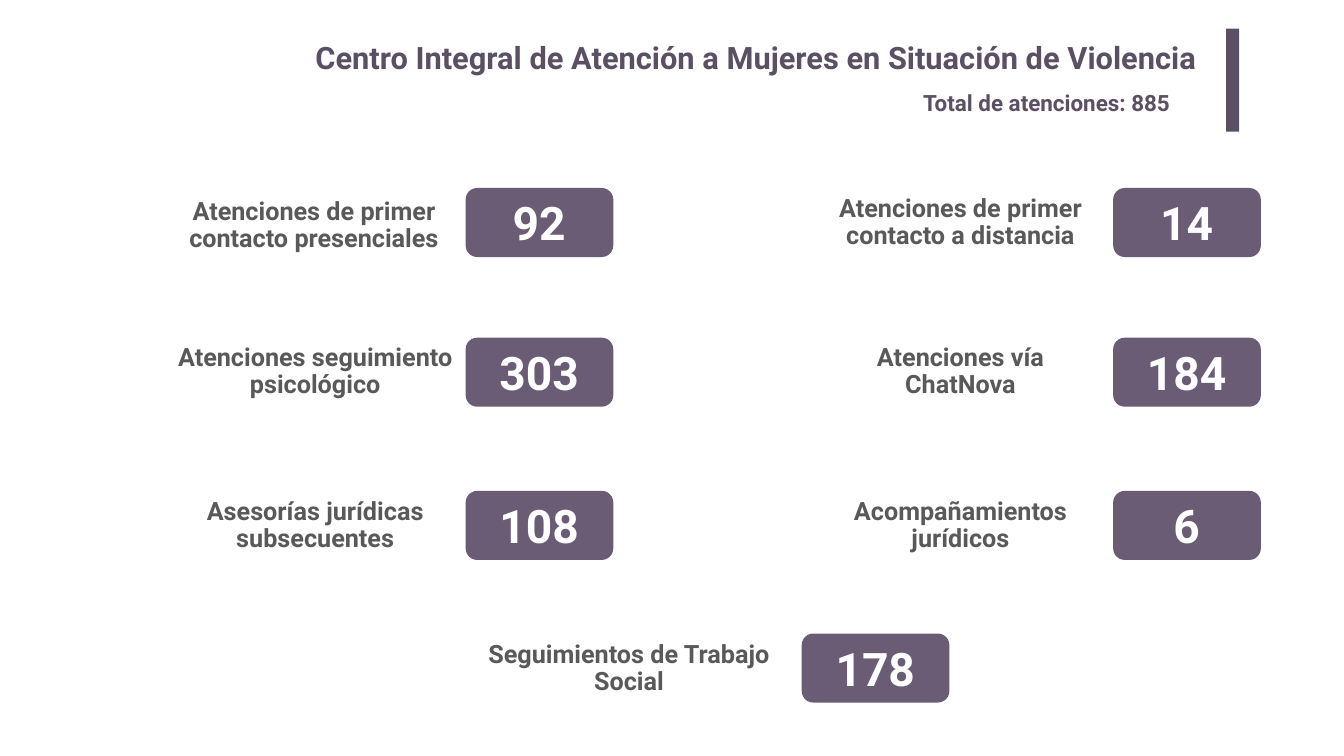
from pptx import Presentation
from pptx.dml.color import RGBColor
from pptx.enum.shapes import MSO_SHAPE
from pptx.enum.text import MSO_ANCHOR, PP_ALIGN
from pptx.util import Inches, Pt

RECT, ROUND = MSO_SHAPE.RECTANGLE, MSO_SHAPE.ROUNDED_RECTANGLE
TOP, MIDDLE = MSO_ANCHOR.TOP, MSO_ANCHOR.MIDDLE
LEFT, CENTER, RIGHT = PP_ALIGN.LEFT, PP_ALIGN.CENTER, PP_ALIGN.RIGHT

FONT = "Roboto"
DARK, PURPLE, GRAY, WHITE = "5B4F63", "6A5C74", "595959", "FFFFFF"
COLS = (9.24, 22.09)
ROWS = (3.73, 6.7, 9.74)

ITEMS = [
    ("Atenciones de primer contacto presenciales", 92,
     COLS[0], ROWS[0], (3.49, 3.8, 5.48, 1.37)),
    ("Atenciones de primer contacto a distancia", 14,
     COLS[1], ROWS[0], (16.48, 3.81, 5.16, 1.21)),
    ("Atenciones seguimiento psicológico", 303,
     COLS[0], ROWS[1], (2.35, 7.12, 7.81, 0.53)),
    ("Atenciones vía\vChatNova", 184,
     COLS[1], ROWS[1], (16.1, 6.86, 5.92, 1.05)),
    ("Asesorías jurídicas subsecuentes", 108,
     COLS[0], ROWS[2], (3.23, 10.03, 6.05, 0.8)),
    ("Acompañamientos jurídicos", 6,
     COLS[1], ROWS[2], (15.83, 10.11, 6.46, 0.64)),
    ("Seguimientos de Trabajo Social", 178,
     15.91, 12.57, (9.24, 12.57, 6.48, 1.41)),
]


def color(code):
    return RGBColor.from_string(code)


def add_text(slide, text, box, size=36, fill=GRAY, align=CENTER,
             anchor=TOP, space=None, pad=0.1):
    frame = slide.shapes.add_textbox(*map(Inches, box)).text_frame
    frame.word_wrap = True
    frame.vertical_anchor = anchor
    frame.margin_left = frame.margin_right = Inches(pad)
    frame.margin_top = frame.margin_bottom = Inches(pad / 2)
    para = frame.paragraphs[0]
    para.text = text
    para.alignment = align
    para.line_spacing = space
    for run in para.runs:
        run.font.name = FONT
        run.font.size = Pt(size)
        run.font.bold = True
        run.font.color.rgb = color(fill)


def add_block(slide, kind, box, fill):
    shape = slide.shapes.add_shape(kind, *map(Inches, box))
    shape.shadow.inherit = False
    shape.fill.solid()
    shape.fill.fore_color.rgb = color(fill)
    shape.line.fill.background()
    return shape


def add_badge(slide, value, left, top):
    add_block(slide, ROUND, (left, top, 2.93, 1.37), PURPLE)
    add_text(slide, str(value), (left + 0.44, top + 0.08, 2.04, 1.21),
             size=66, fill=WHITE)


def add_header(slide):
    add_text(slide, "Centro Integral de Atención a Mujeres en Situación de Violencia",
             (3.66, 0.67, 20.3, 1.02), size=44, fill=DARK, align=RIGHT, pad=0.2)
    add_block(slide, RECT, (24.33, 0.57, 0.26, 2.04), DARK)
    add_text(slide, "Total de atenciones: 885", (18.22, 1.71, 5.92, 0.64),
             size=32, fill=DARK, align=LEFT)


def main():
    deck = Presentation()
    deck.slide_width, deck.slide_height = Inches(26.67), Inches(15)
    slide = deck.slides.add_slide(deck.slide_layouts[6])
    add_header(slide)
    for label, value, left, top, box in ITEMS:
        add_text(slide, label, box, anchor=MIDDLE, space=0.9)
        add_badge(slide, value, left, top)
    deck.save("out.pptx")


if __name__ == "__main__":
    main()
